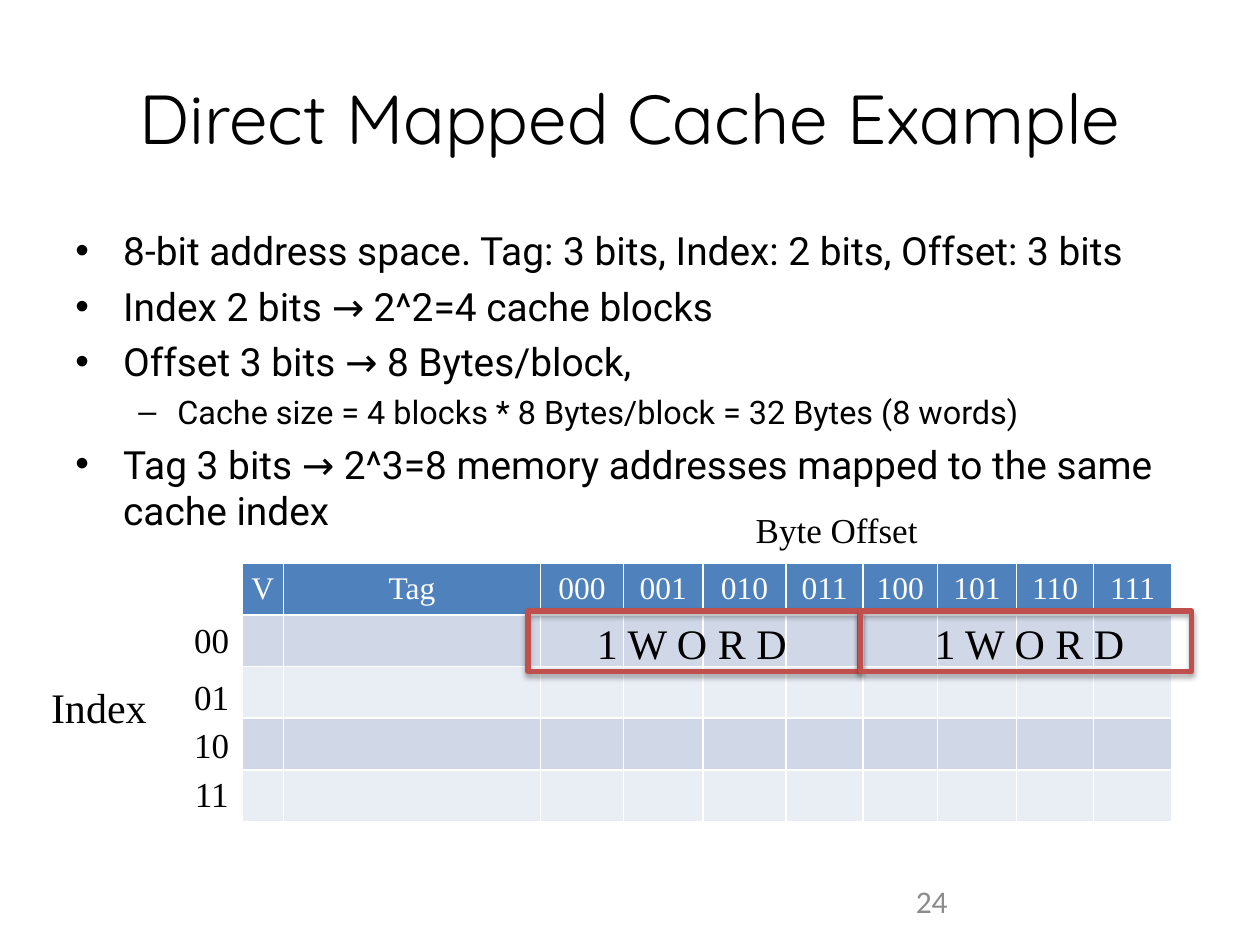
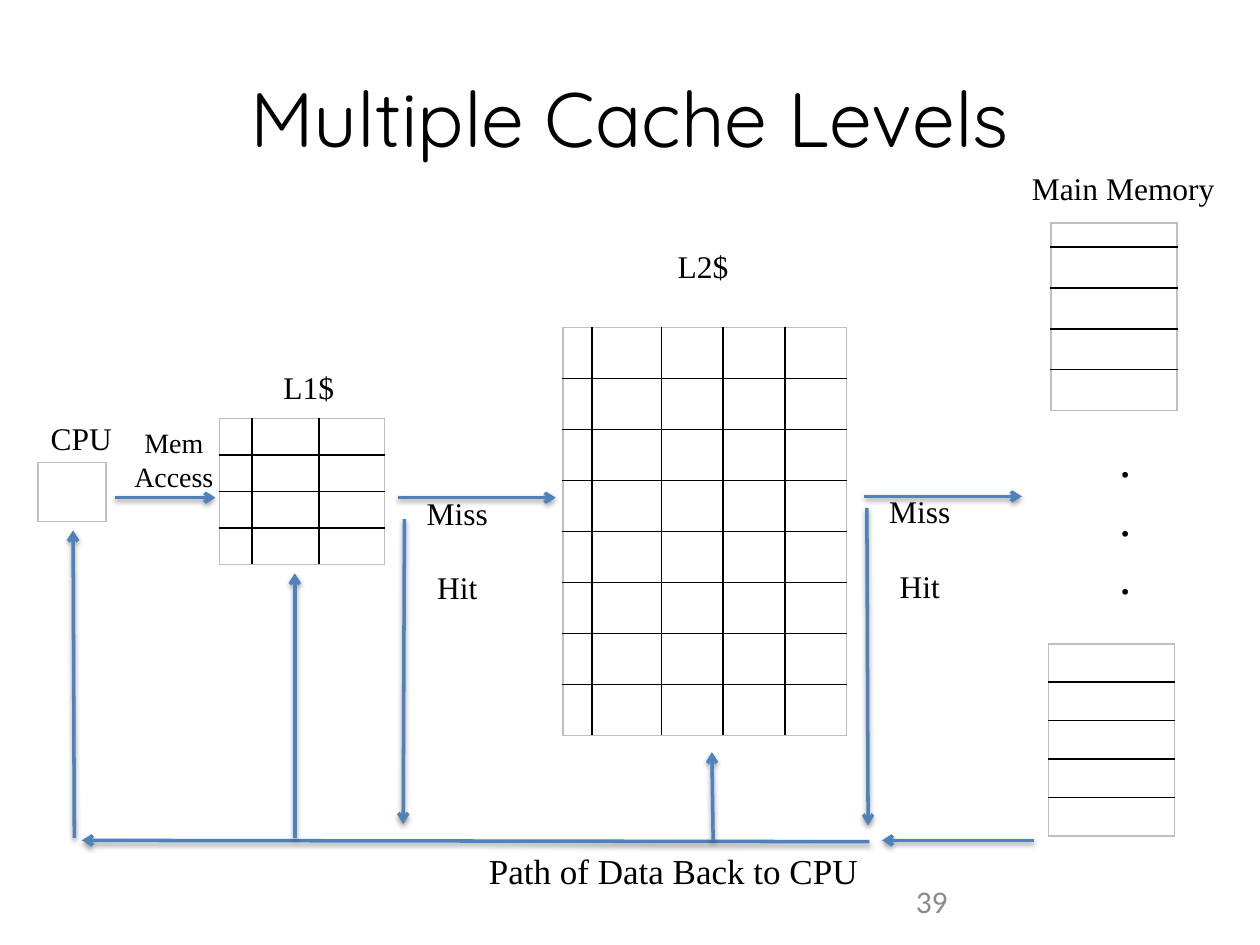
from lxml import etree
from pptx import Presentation
from pptx.dml.color import RGBColor
from pptx.enum.shapes import MSO_CONNECTOR, MSO_SHAPE
from pptx.enum.text import MSO_ANCHOR, PP_ALIGN
from pptx.oxml.ns import qn
from pptx.util import Inches, Pt

BLACK = RGBColor(0x00, 0x00, 0x00)
WHITE = RGBColor(0xFF, 0xFF, 0xFF)
BLUE = RGBColor(0x4F, 0x81, 0xBD)
RED = RGBColor(0xC0, 0x50, 0x4D)
GRAY = RGBColor(0x8C, 0x8C, 0x8C)
EDGE_GRAY = RGBColor(0xBF, 0xBF, 0xBF)
BANDS = [RGBColor(0xD0, 0xD8, 0xE8), RGBColor(0xE9, 0xED, 0xF4)]

TITLE_FONT, BODY_FONT, LABEL_FONT, NUMBER_FONT = "Quicksand", "Roboto", "Times New Roman", "Calibri"
CENTER, LEFT = PP_ALIGN.CENTER, PP_ALIGN.LEFT
MIDDLE, TOP = MSO_ANCHOR.MIDDLE, MSO_ANCHOR.TOP
STRAIGHT, RECTANGLE = MSO_CONNECTOR.STRAIGHT, MSO_SHAPE.RECTANGLE
TITLE_ONLY = 5

LEVELS = [
    {"bullet": "•", "margin": 0.38, "indent": -0.38, "size": 22.2, "before": 5.2},
    {"bullet": "–", "margin": 0.81, "indent": -0.31, "size": 18.5, "before": 4.3},
]
BULLETS = [
    (0, "8-bit address space. Tag: 3 bits, Index: 2 bits, Offset: 3 bits"),
    (0, "Index 2 bits → 2^2=4 cache blocks"),
    (0, "Offset 3 bits → 8 Bytes/block,"),
    (1, "Cache size = 4 blocks * 8 Bytes/block = 32 Bytes (8 words)"),
    (0, "Tag 3 bits → 2^3=8 memory addresses mapped to the same cache index"),
]
CACHE_HEADERS = ["V", "Tag"] + [f"{offset:03b}" for offset in range(8)]
CACHE_WIDTHS = [0.33, 2.04, 0.66, 0.63, 0.66, 0.61, 0.59, 0.63, 0.61, 0.62]
CACHE_ROWS = [0.41] * 5
INDEX_TOPS = [4.86, 5.31, 5.69, 6.08]
EXAMPLE_LABELS = [
    (["Byte Offset"], 5.63, 3.99, 2.02, 0.44, 20),
    (["Index"], 0.25, 5.36, 1.07, 0.5, 24),
] + [([f"{index:02b}"], 1.44, top, 0.48, 0.44, 20) for index, top in enumerate(INDEX_TOPS)]
WORD_LEFTS = [(4.19, 4.63), (6.83, 7.31)]

MEMORY_GRIDS = [
    (1.74, 3.32, [0.26, 0.53, 0.52], [0.29] * 4),
    (4.47, 2.6, [0.23, 0.55, 0.49, 0.49, 0.49], [0.405] * 8),
    (8.34, 1.77, [1], [0.19] + [0.325] * 4),
    (8.32, 5.11, [1], [0.305] * 5),
    (0.3, 3.67, [0.54], [0.47]),
]
LEVEL_LABELS = [
    (["L1$"], 2.14, 2.87, 0.62, 0.4, 18),
    (["L2$"], 5.27, 1.91, 0.62, 0.4, 18),
    (["Main Memory"], 8.03, 1.29, 1.77, 0.4, 18),
    ([".", ".", "."], 8.67, 3.35, 0.52, 1.51, 28),
    (["CPU"], 0.27, 3.28, 0.75, 0.4, 18),
    (["Mem", "Access"], 0.9, 3.33, 0.96, 0.64, 16),
    (["Path of Data Back to CPU"], 3.47, 6.69, 3.75, 0.44, 20),
]
OUTCOMES = ["Miss", "Hit"]
OUTCOME_CORNERS = [(3.18, 3.87), (6.85, 3.86)]
ARROWS = [
    (3.16, 3.95, 4.41, 3.95),
    (6.86, 3.94, 8.11, 3.94),
    (0.91, 3.95, 1.71, 3.95),
    (3.21, 4.12, 3.2, 6.54),
    (6.88, 4.03, 6.89, 6.55),
    (8.21, 6.67, 7, 6.67),
    (6.9, 6.68, 0.65, 6.67),
    (0.59, 6.65, 0.58, 4.21),
    (2.34, 6.65, 2.34, 4.55),
    (5.66, 6.67, 5.65, 5.97),
]


def style_font(font, name, size, color=BLACK):
    font.name = name
    font.size = Pt(size)
    font.color.rgb = color


def add_titled_slide(deck, title, size, number):
    slide = deck.slides.add_slide(deck.slide_layouts[TITLE_ONLY])
    box = slide.shapes.title
    box.left, box.top, box.width, box.height = [Inches(v) for v in (0.5, 0.3, 9, 1.25)]
    box.text_frame.text = title
    box.text_frame.vertical_anchor = MIDDLE
    para = box.text_frame.paragraphs[0]
    para.alignment = CENTER
    style_font(para.font, TITLE_FONT, size)
    add_label(slide, [str(number)], 7.17, 6.95, 2.33, 0.4, 18,
              name=NUMBER_FONT, color=GRAY, alignment=LEFT, margin=0.1, anchor=MIDDLE)
    return slide


def add_label(slide, lines, left, top, width, height, size, name=LABEL_FONT,
              color=BLACK, alignment=CENTER, margin=0, anchor=TOP, gap=0):
    box = slide.shapes.add_textbox(Inches(left), Inches(top), Inches(width), Inches(height))
    frame = box.text_frame
    frame.word_wrap = True
    frame.vertical_anchor = anchor
    frame.margin_left = frame.margin_right = Inches(margin)
    frame.text = "\n".join(lines)
    for position, para in enumerate(frame.paragraphs):
        para.alignment = alignment
        if position and gap:
            para.space_before = Pt(gap)
        style_font(para.font, name, size, color)


def add_bullets(slide):
    box = slide.shapes.add_textbox(Inches(0.5), Inches(1.75), Inches(9), Inches(2.43))
    frame = box.text_frame
    frame.word_wrap = True
    frame.text = "\n".join(text for _, text in BULLETS)
    for position, (para, (depth, _)) in enumerate(zip(frame.paragraphs, BULLETS)):
        level = LEVELS[depth]
        para.level = depth
        if position:
            para.space_before = Pt(level["before"])
        properties = para._p.get_or_add_pPr()
        properties.set("marL", str(Inches(level["margin"])))
        properties.set("indent", str(Inches(level["indent"])))
        etree.SubElement(properties, qn("a:buFont"), typeface="Arial")
        etree.SubElement(properties, qn("a:buChar"), char=level["bullet"])
        style_font(para.font, BODY_FONT, level["size"])


def set_borders(cell, colors):
    properties = cell._tc.get_or_add_tcPr()
    for side, color in zip("LRTB", colors):
        line = etree.SubElement(properties, qn(f"a:ln{side}"), w=str(Pt(1)))
        fill = etree.SubElement(line, qn("a:solidFill"))
        etree.SubElement(fill, qn("a:srgbClr"), val=str(color))


def add_grid(slide, left, top, widths, heights, inner=BLACK, outer=EDGE_GRAY):
    frame = slide.shapes.add_table(len(heights), len(widths), Inches(left), Inches(top),
                                   Inches(sum(widths)), Inches(sum(heights)))
    table = frame.table
    table.first_row = table.horz_banding = False
    for column, width in zip(table.columns, widths):
        column.width = Inches(width)
    for row, height in zip(table.rows, heights):
        row.height = Inches(height)
    last_row, last_column = len(heights) - 1, len(widths) - 1
    for r in range(len(heights)):
        for c in range(len(widths)):
            cell = table.cell(r, c)
            on_edge = (c == 0, c == last_column, r == 0, r == last_row)
            set_borders(cell, [outer if edge else inner for edge in on_edge])
            cell.fill.background()
            cell.margin_left = cell.margin_right = cell.margin_top = cell.margin_bottom = 0
            cell.vertical_anchor = MIDDLE
            etree.SubElement(cell.text_frame.paragraphs[0]._p, qn("a:endParaRPr"), sz="800")
    return table


def fill_cache_table(table):
    for r in range(len(CACHE_ROWS)):
        for c, header in enumerate(CACHE_HEADERS):
            cell = table.cell(r, c)
            cell.fill.solid()
            cell.fill.fore_color.rgb = BANDS[(r - 1) % 2] if r else BLUE
            if r == 0:
                cell.text = header
                para = cell.text_frame.paragraphs[0]
                para.alignment = CENTER
                style_font(para.font, LABEL_FONT, 18, WHITE)


def add_shadow(shape, distance, opacity):
    properties = shape.element.find(qn("p:spPr"))
    for old in properties.findall(qn("a:effectLst")):
        properties.remove(old)
    effects = etree.SubElement(properties, qn("a:effectLst"))
    shadow = etree.SubElement(effects, qn("a:outerShdw"), blurRad=str(Pt(3.1)),
                              dist=str(Pt(distance)), dir="5400000", rotWithShape="0")
    color = etree.SubElement(shadow, qn("a:srgbClr"), val=str(BLACK))
    etree.SubElement(color, qn("a:alpha"), val=str(opacity * 1000))


def add_word_frame(slide, left):
    frame = slide.shapes.add_shape(RECTANGLE, Inches(left), Inches(4.85), Inches(2.63), Inches(0.48))
    frame.fill.background()
    frame.line.color.rgb = RED
    frame.line.width = Pt(3)
    add_shadow(frame, 1.8, 35)


def add_arrow(slide, *ends):
    arrow = slide.shapes.add_connector(STRAIGHT, *[Inches(v) for v in ends])
    arrow.line.color.rgb = BLUE
    arrow.line.width = Pt(2)
    line = arrow.element.find(qn("p:spPr")).find(qn("a:ln"))
    etree.SubElement(line, qn("a:tailEnd"), type="arrow")
    add_shadow(arrow, 1.6, 38)


def build_cache_example(deck):
    slide = add_titled_slide(deck, "Direct Mapped Cache Example", 39.6, 24)
    add_bullets(slide)
    table = add_grid(slide, 1.92, 4.47, CACHE_WIDTHS, CACHE_ROWS, WHITE, WHITE)
    fill_cache_table(table)
    for label in EXAMPLE_LABELS:
        add_label(slide, *label)
    for frame_left, text_left in WORD_LEFTS:
        add_word_frame(slide, frame_left)
        add_label(slide, ["1 W O R D"], text_left, 4.85, 1.72, 0.5, 24)


def build_cache_levels(deck):
    slide = add_titled_slide(deck, "Multiple Cache Levels", 44, 39)
    for grid in MEMORY_GRIDS:
        add_grid(slide, *grid)
    for arrow in ARROWS:
        add_arrow(slide, *arrow)
    for label in LEVEL_LABELS:
        add_label(slide, *label)
    for left, top in OUTCOME_CORNERS:
        add_label(slide, OUTCOMES, left, top, 0.9, 0.97, 18, gap=21)


def main():
    deck = Presentation()
    deck.slide_width, deck.slide_height = Inches(10), Inches(7.5)
    build_cache_example(deck)
    build_cache_levels(deck)
    deck.save("out.pptx")


if __name__ == "__main__":
    main()
